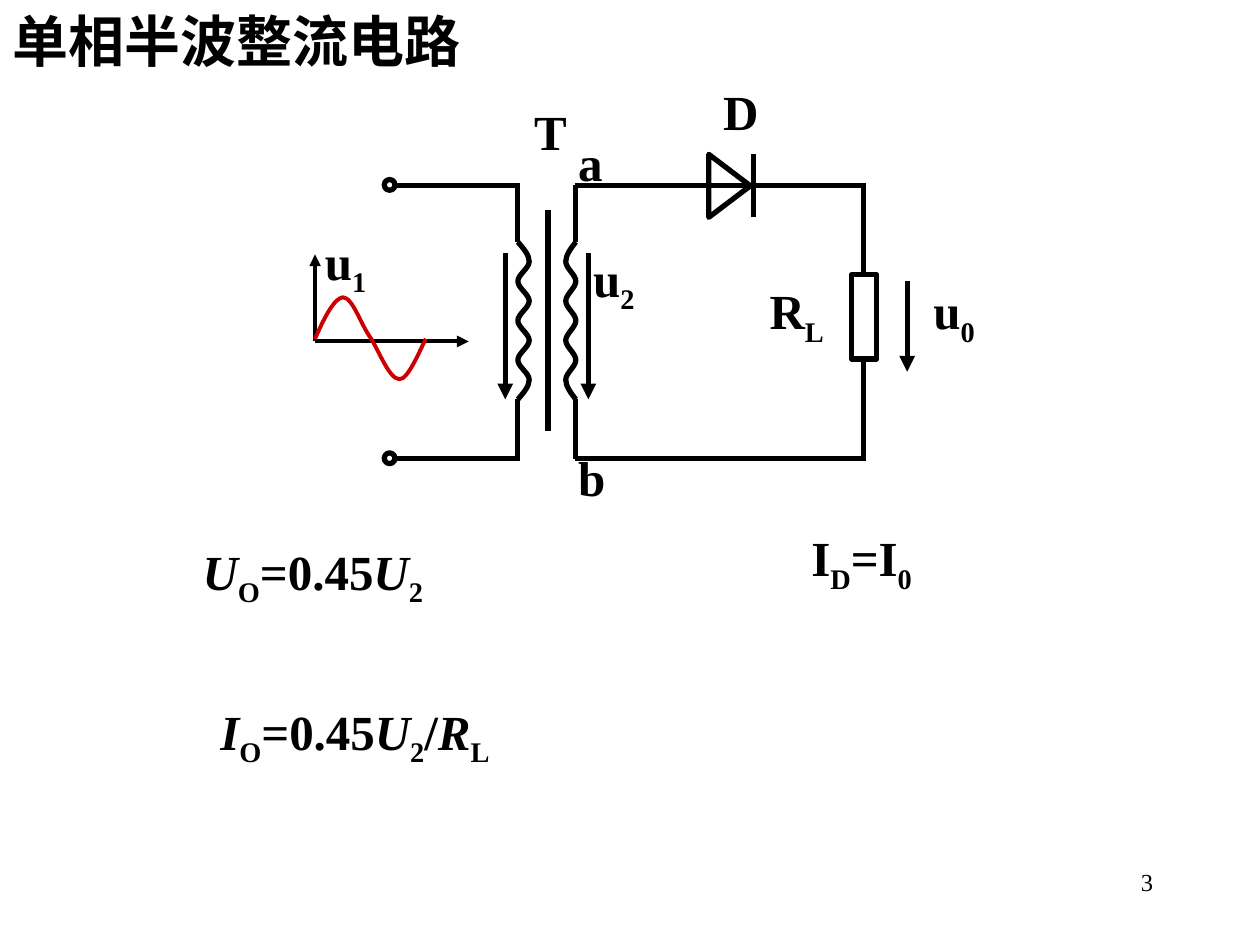
import itertools
from dataclasses import dataclass

import lxml.etree
import pptx
import pptx.dml.color
import pptx.enum.shapes
import pptx.enum.text
import pptx.oxml.ns
import pptx.util

COLUMNS, ROWS = 100, 75
SLIDE_WIDTH, SLIDE_HEIGHT = pptx.util.Inches(10), pptx.util.Inches(7.5)
PRESET = pptx.enum.shapes.MSO_SHAPE
ALIGN = pptx.enum.text.PP_ALIGN
qn = pptx.oxml.ns.qn


@dataclass(frozen=True)
class Theme:
    font: str = "Times New Roman"
    ink: str = "000000"
    paper: str = "FFFFFF"
    wave: str = "CC0000"
    title_size: int = 32
    label_size: int = 28
    number_size: int = 14
    wire: float = 3
    axis: float = 2.25


THEME = Theme()


def col(columns):
    return round(SLIDE_WIDTH * columns / COLUMNS)


def row(rows):
    return round(SLIDE_HEIGHT * rows / ROWS)


def box(left, top, width, height):
    return col(left), row(top), col(width), row(height)


def rgb(value):
    return pptx.dml.color.RGBColor.from_string(value)


def set_line(part, color=THEME.ink, width=THEME.wire):
    part.line.color.rgb = rgb(color)
    part.line.width = pptx.util.Pt(width)


def styled_characters(markup):
    """Yield (character, (italic, subscript)); ~ slants and _ lowers the next one."""
    mark = ""
    for character in markup:
        if character in "~_":
            mark = character
        else:
            yield character, (mark == "~", mark == "_")
            mark = ""


def write(frame, markup, size=THEME.label_size, bold=True, align=ALIGN.LEFT, wrap=True):
    frame.word_wrap = wrap
    frame.vertical_anchor = pptx.enum.text.MSO_ANCHOR.TOP
    frame.auto_size = pptx.enum.text.MSO_AUTO_SIZE.SHAPE_TO_FIT_TEXT
    paragraph = frame.paragraphs[0]
    paragraph.alignment = align
    for (italic, subscript), group in itertools.groupby(
            styled_characters(markup), key=lambda item: item[1]):
        run = paragraph.add_run()
        run.text = "".join(character for character, _ in group)
        run.font.name = THEME.font
        run.font.size = pptx.util.Pt(size)
        run.font.bold = bold
        run.font.italic = italic
        run.font.color.rgb = rgb(THEME.ink)
        if subscript:
            run.font._element.set("baseline", "-25000")


def add_label(shapes, markup, place, **style):
    write(shapes.add_textbox(*box(*place)).text_frame, markup, **style)


def add_wire(shapes, start, end, arrow=False, width=THEME.wire):
    wire = shapes.add_connector(
        pptx.enum.shapes.MSO_CONNECTOR.STRAIGHT,
        col(start[0]), row(start[1]), col(end[0]), row(end[1]))
    set_line(wire, width=width)
    if arrow:
        outline = wire.line._get_or_add_ln()
        lxml.etree.SubElement(outline, qn("a:tailEnd"), type="triangle")
    lxml.etree.SubElement(wire._element.spPr, qn("a:effectLst"))


def add_symbol(shapes, preset, place, fill=None):
    symbol = shapes.add_shape(preset, *box(*place))
    symbol.shadow.inherit = False
    if fill:
        symbol.fill.solid()
        symbol.fill.fore_color.rgb = rgb(fill)
    else:
        symbol.fill.background()
    set_line(symbol)
    return symbol


def add_curve(shapes, points, **line):
    """Draw a Bezier curve: a start point, then three points for each segment."""
    start, *rest = [(col(x), row(y)) for x, y in points]
    builder = shapes.build_freeform(*start)
    builder.add_line_segments(rest, close=False)
    curve = builder.convert_to_shape()
    steps = list(curve._element.iter(qn("a:lnTo")))
    for first, second, third in zip(steps[::3], steps[1::3], steps[2::3]):
        first.tag = qn("a:cubicBezTo")
        for step in (second, third):
            first.append(step[0])
            step.getparent().remove(step)
    curve.shadow.inherit = False
    curve.fill.background()
    set_line(curve, **line)


def add_winding(shapes, base, crest, top=19.2, bottom=31.7, bends=8):
    step = (bottom - top) / bends
    points = [(base, top)]
    for bend in range(bends):
        start, end = (base, crest) if bend % 2 == 0 else (crest, base)
        y = top + bend * step
        first = (start + end) / 2 if bend == 0 else start
        last = (start + end) / 2 if bend == bends - 1 else end
        points += [(first, y + step / 3), (last, y + step * 2 / 3), (end, y + step)]
    add_curve(shapes, points)


def add_transformer(shapes, top, bottom):
    for base, crest, arrow in ((41.1, 42, 40.1), (45.7, 44.9, 46.7)):
        add_winding(shapes, base, crest)
        add_wire(shapes, (base, top), (base, 19.2))
        add_wire(shapes, (base, 31.7), (base, bottom))
        add_wire(shapes, (arrow, 20.1), (arrow, 31.7), arrow=True)
    add_wire(shapes, (43.5, 16.7), (43.5, 34.2))


def add_input_wave(shapes):
    origin = (25, 27.1)
    for end in ((25, 20.2), (37.2, 27.1)):
        add_wire(shapes, origin, end, arrow=True, width=THEME.axis)
    add_curve(shapes, [
        (25, 26.9), (25.7, 25.3), (26.5, 23.7), (27.2, 23.6),
        (28, 23.6), (28.6, 25.7), (29.4, 26.8),
        (30.1, 27.9), (30.9, 30.1), (31.7, 30.1),
        (32.4, 30.2), (33.5, 27.4), (33.8, 26.9),
    ], color=THEME.wave, width=THEME.axis)


def add_circuit(shapes):
    top, bottom = 14.7, 36.4
    for rail in (top, bottom):
        add_wire(shapes, (31.4, rail), (41.3, rail))
        add_symbol(shapes, PRESET.OVAL, (30.5, rail - 0.45, 0.85, 0.85))
        add_wire(shapes, (45.6, rail), (68.7, rail))
    add_transformer(shapes, top, bottom)
    add_input_wave(shapes)
    add_wire(shapes, (68.55, top), (68.55, bottom))
    add_wire(shapes, (72, 22.3), (72, 29.5), arrow=True)

    diode = add_symbol(shapes, PRESET.ISOSCELES_TRIANGLE, (55.4, 13.1, 5, 3.3))
    diode.rotation = 90
    add_wire(shapes, (59.8, 17.2), (59.8, 12.2))
    add_symbol(shapes, PRESET.RECTANGLE, (67.6, 21.8, 2, 6.7), fill=THEME.paper)

    for markup, left, label_top, width in (
            ("u_1", 24.8, 17.9, 6.1), ("u_2", 46.1, 19.2, 6.1), ("D", 56.4, 6, 6.1),
            ("R_L", 60.1, 21.8, 11.1), ("u_0", 73.1, 21.8, 6.1)):
        add_label(shapes, markup, (left, label_top, width, 5.7))
    for name, left, label_top, width in (
            ("T", 41.4, 7.6, 4.6), ("a", 44.9, 10, 4), ("b", 44.9, 35, 4.2)):
        add_label(shapes, name, (left, label_top, width, 5.7), wrap=False)


def main():
    deck = pptx.Presentation()
    deck.slide_width, deck.slide_height = SLIDE_WIDTH, SLIDE_HEIGHT
    slide = deck.slides.add_slide(deck.slide_layouts.get_by_name("Title Only"))

    title = slide.shapes.title
    title.left, title.top, title.width, title.height = box(0, 0, 37.7, 6.3)
    write(title.text_frame, "单相半波整流电路", size=THEME.title_size, wrap=False)

    add_circuit(slide.shapes.add_group_shape().shapes)
    for formula, place in (
            ("I_D=I_0", (63.4, 41.4, 15.9, 5.7)),
            ("~U_O=0.45~U_2", (15.1, 42.5, 28.4, 5.7)),
            ("~I_O=0.45~U_2/~R_L", (16.5, 55.2, 28.4, 5.7))):
        add_label(slide.shapes, formula, place)
    add_label(slide.shapes, "3", (71.7, 68.3, 20.8, 5), size=THEME.number_size,
              bold=False, align=ALIGN.RIGHT)
    deck.save("out.pptx")


if __name__ == "__main__":
    main()
